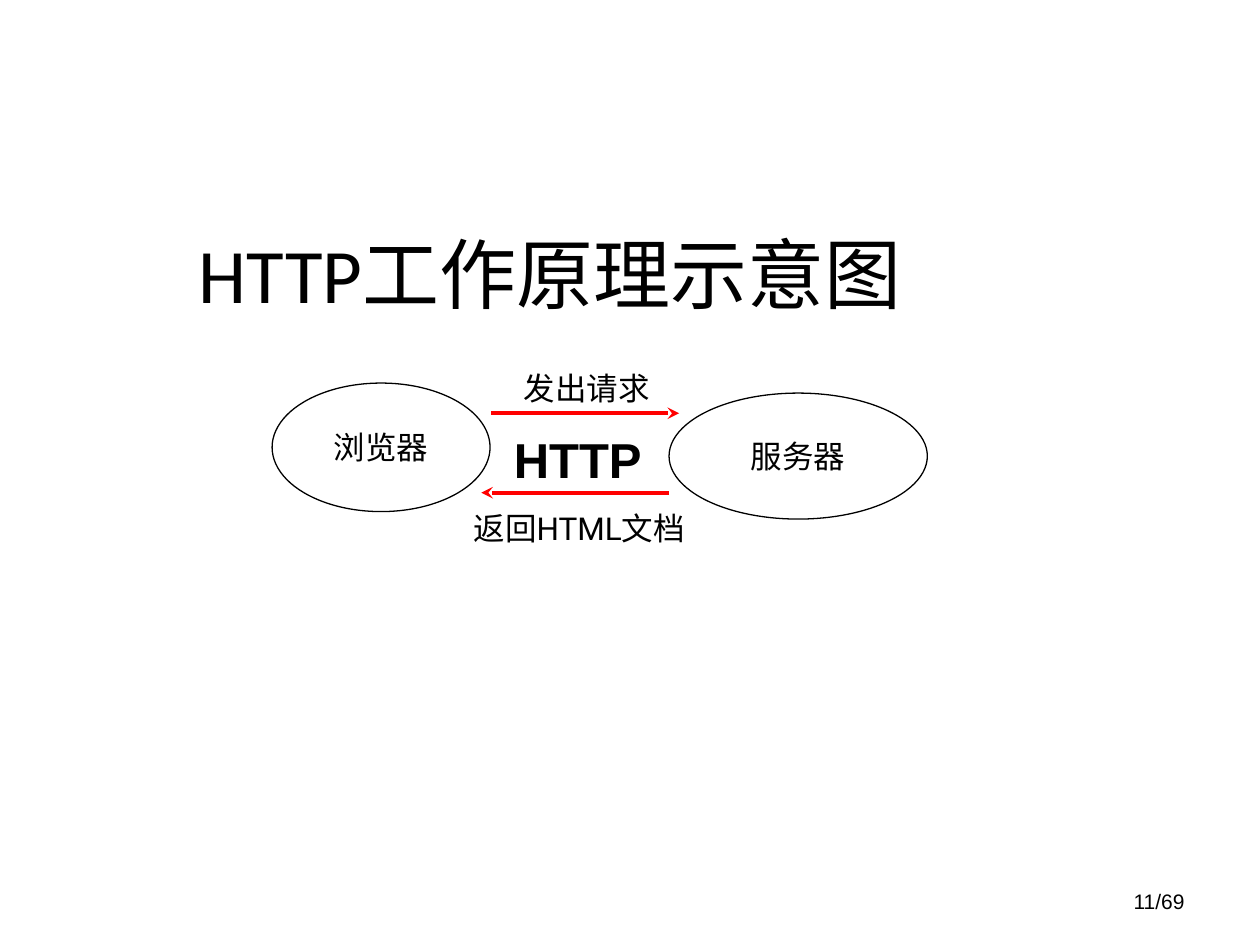
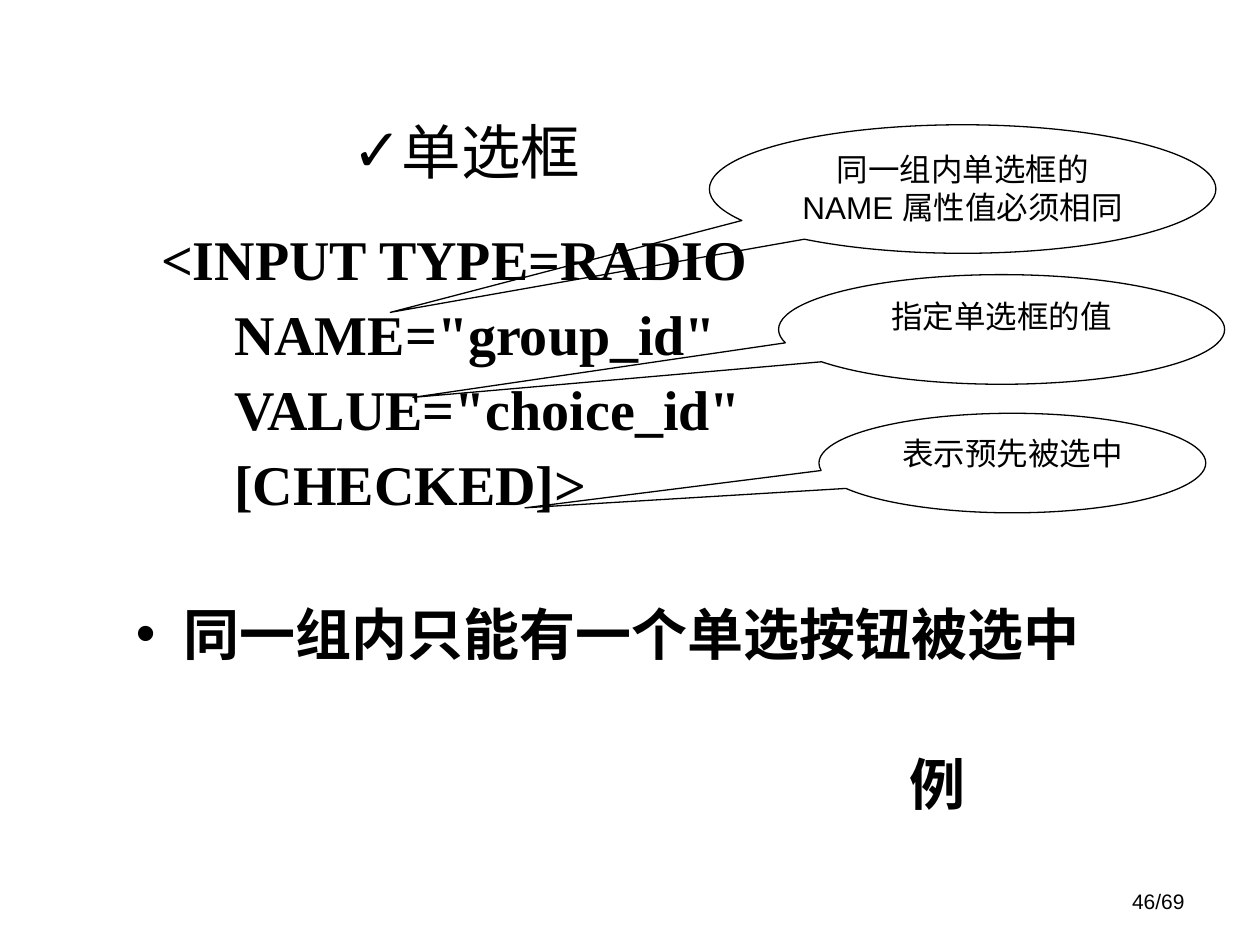
import dataclasses

import lxml.etree
import pptx
import pptx.dml.color
import pptx.enum.shapes
import pptx.enum.text
import pptx.oxml.ns
import pptx.util

Inches = pptx.util.Inches
Pt = pptx.util.Pt
Align = pptx.enum.text.PP_ALIGN
Anchor = pptx.enum.text.MSO_ANCHOR
Shape = pptx.enum.shapes.MSO_SHAPE
qn = pptx.oxml.ns.qn


@dataclasses.dataclass(frozen=True)
class Theme:
    ink: str = "000000"
    arrow: str = "FF0000"
    outline: float = 0.75
    arrow_width: float = 2.25
    title_font: str = "Calibri"
    diagram_font: str = "Roboto"
    note_font: str = "Arial"
    code_font: str = "Times New Roman"
    title_size: int = 44
    subtitle_size: int = 34
    body_size: int = 32
    protocol_size: int = 28
    label_size: int = 18
    footer_size: int = 12
    code_line: float = 34.9
    code_gap: float = 8
    # Space that leaves one body line free above a paragraph
    section_gap: float = 50.9


class Painter:
    def __init__(self, deck, theme):
        self.deck = deck
        self.theme = theme
        self.slide = None

    def new_slide(self):
        self.slide = self.deck.slides.add_slide(self.deck.slide_layouts[6])

    def colour(self, value):
        return pptx.dml.color.RGBColor.from_string(value)

    def prepare_frame(self, frame, anchor=Anchor.TOP, wrap=True):
        frame.word_wrap = wrap
        frame.vertical_anchor = anchor
        frame.margin_left = frame.margin_right = Inches(0.1)
        frame.margin_top = frame.margin_bottom = Inches(0.05)

    def add_text(self, para, text, font, size, bold=False, align=Align.LEFT):
        para.alignment = align
        span = para.add_run()
        span.text = text
        span.font.name = font
        span.font.size = Pt(size)
        span.font.bold = bold
        span.font.color.rgb = self.colour(self.theme.ink)

    def indent(self, para, left, first=0.0):
        props = para._p.get_or_add_pPr()
        props.set("marL", str(Inches(left)))
        props.set("indent", str(Inches(first)))

    def bullet(self, para, mark):
        props = para._p.get_or_add_pPr()
        lxml.etree.SubElement(props, qn("a:buFont")).set("typeface", "Arial")
        lxml.etree.SubElement(props, qn("a:buChar")).set("char", mark)

    def text_box(self, left, top, width, height, anchor=Anchor.TOP):
        box = self.slide.shapes.add_textbox(
            Inches(left), Inches(top), Inches(width), Inches(height))
        self.prepare_frame(box.text_frame, anchor)
        return box.text_frame

    def title(self, place, text, size, mark=None):
        para = self.text_box(*place, anchor=Anchor.MIDDLE).paragraphs[0]
        self.add_text(para, text, self.theme.title_font, size, align=Align.CENTER)
        if mark:
            self.indent(para, 0)
            self.bullet(para, mark)

    def footer(self, text):
        frame = self.text_box(7.17, 6.95, 2.33, 0.4, Anchor.MIDDLE)
        self.add_text(frame.paragraphs[0], text, self.theme.note_font,
                      self.theme.footer_size, align=Align.RIGHT)

    def label(self, place, text, font, size, bold=False):
        self.add_text(self.text_box(*place).paragraphs[0], text, font, size, bold)

    def outlined(self, kind, place, text, font, anchor, wrap):
        shape = self.slide.shapes.add_shape(kind, *map(Inches, place))
        shape.shadow.inherit = False
        shape.fill.background()
        shape.line.color.rgb = self.colour(self.theme.ink)
        shape.line.width = Pt(self.theme.outline)
        self.prepare_frame(shape.text_frame, anchor, wrap)
        self.add_text(shape.text_frame.paragraphs[0], text, font,
                      self.theme.label_size, align=Align.CENTER)
        return shape

    def node(self, place, text):
        self.outlined(Shape.OVAL, place, text, self.theme.diagram_font,
                      Anchor.MIDDLE, wrap=False)

    def callout(self, place, tip, text):
        shape = self.outlined(Shape.OVAL_CALLOUT, place, text,
                              self.theme.note_font, Anchor.TOP, wrap=True)
        shape.adjustments[0], shape.adjustments[1] = tip

    def arrow(self, start, end, level):
        line = self.slide.shapes.add_connector(
            pptx.enum.shapes.MSO_CONNECTOR.STRAIGHT,
            Inches(start), Inches(level), Inches(end), Inches(level))
        line.line.color.rgb = self.colour(self.theme.arrow)
        line.line.width = Pt(self.theme.arrow_width)
        properties = line._element.spPr
        head = lxml.etree.SubElement(properties.find(qn("a:ln")), qn("a:tailEnd"))
        head.set("type", "stealth")
        lxml.etree.SubElement(properties, qn("a:effectLst"))

    def body_line(self, para, text, font, gap):
        para.line_spacing = Pt(self.theme.code_line)
        para.space_before = Pt(gap)
        self.add_text(para, text, font, self.theme.body_size, bold=True)


def http_slide(painter):
    theme = painter.theme
    painter.new_slide()
    painter.title((1.22, 1.7, 6.3, 0.93), "HTTP工作原理示意图", theme.title_size)
    painter.footer("11/69")

    # Browser and server
    painter.node((2.16, 3.04, 1.73, 1.02), "浏览器")
    painter.node((5.31, 3.12, 2.05, 1), "服务器")

    # Request and response
    painter.arrow(3.9, 5.39, 3.28)
    painter.arrow(5.31, 3.82, 3.91)
    for place, text in (((4.06, 2.88, 1.26, 0.4), "发出请求"),
                        ((3.66, 3.99, 2.05, 0.4), "返回HTML文档")):
        painter.label(place, text, theme.diagram_font, theme.label_size)
    painter.label((3.98, 3.36, 1.34, 0.57), "HTTP", theme.note_font,
                  theme.protocol_size, bold=True)


def radio_slide(painter):
    theme = painter.theme
    painter.new_slide()
    painter.title((0.43, 0.84, 6.54, 0.71), "单选框", theme.subtitle_size, "✓")

    # Tag syntax, with attributes indented under the tag
    frame = painter.text_box(0.98, 1.78, 8.67, 4.96)
    code = (("<INPUT TYPE=RADIO", 0.2), ('NAME="group_id"', 0.78),
            ('VALUE="choice_id"', 0.78), ("[CHECKED]>", 0.78))
    for number, (text, left) in enumerate(code):
        para = frame.add_paragraph() if number else frame.paragraphs[0]
        painter.body_line(para, text, theme.code_font,
                          theme.code_gap if number else 0)
        painter.indent(para, left)

    # Rule and example
    rule = frame.add_paragraph()
    painter.body_line(rule, "同一组内只能有一个单选按钮被选中",
                      theme.title_font, theme.section_gap)
    painter.indent(rule, 0.38, -0.38)
    painter.bullet(rule, "•")
    example = frame.add_paragraph()
    painter.body_line(example, "例", theme.title_font, theme.section_gap)
    painter.indent(example, 6.14)

    painter.footer("46/69")

    # Attribute notes
    notes = (
        ((5.63, 0.99, 4.02, 1.02), (-1.13, 0.96), "同一组内单选框的NAME 属性值必须相同"),
        ((6.18, 2.18, 3.54, 0.87), (-1.32, 0.62), "指定单选框的值"),
        ((6.5, 3.28, 3.07, 0.79), (-1.26, 0.45), "表示预先被选中"),
    )
    for place, tip, text in notes:
        painter.callout(place, tip, text)


def main():
    deck = pptx.Presentation()
    deck.slide_width = Inches(10)
    deck.slide_height = Inches(7.5)
    painter = Painter(deck, Theme())
    http_slide(painter)
    radio_slide(painter)
    deck.save("out.pptx")


if __name__ == "__main__":
    main()
